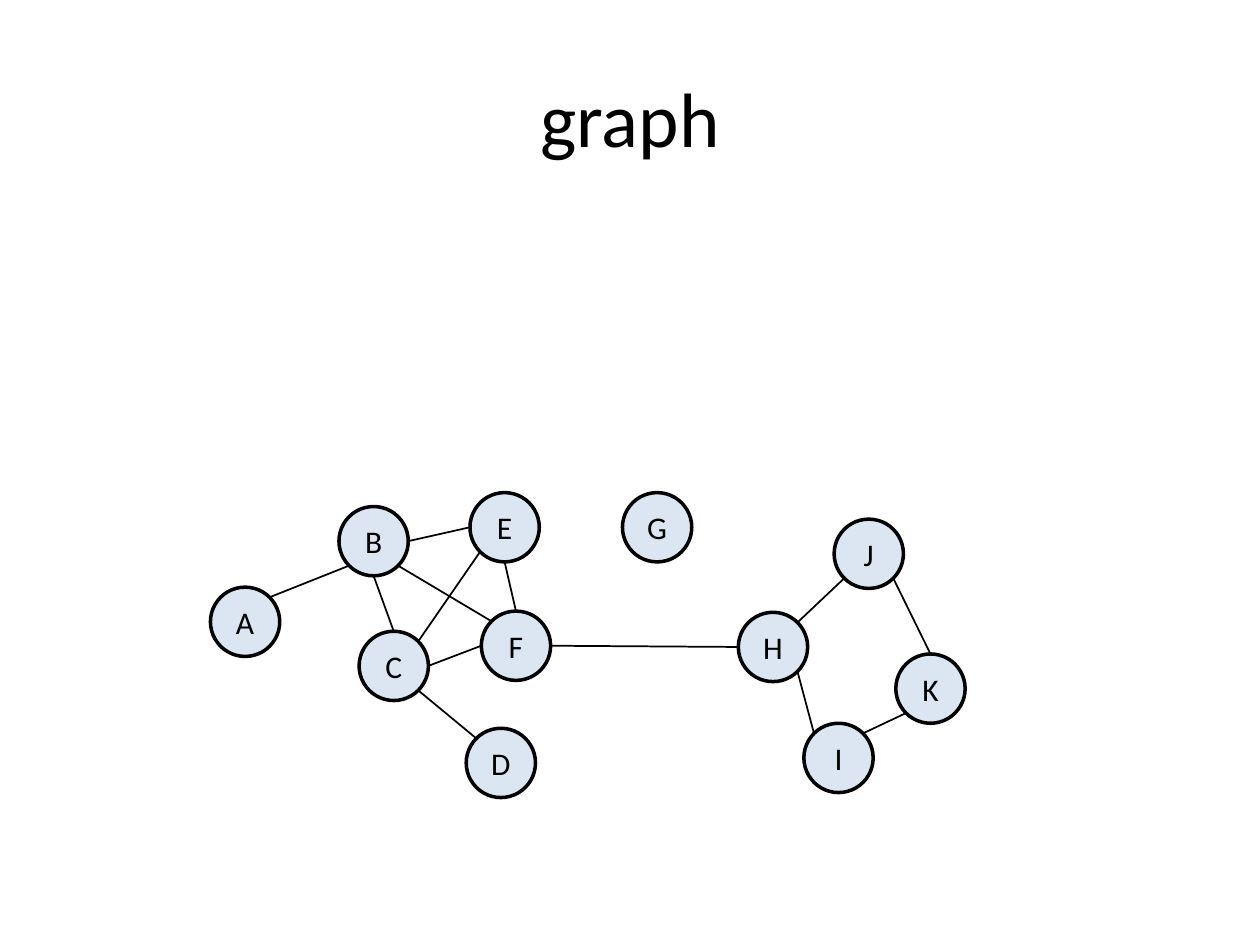
"""Build a slide with a graph of eleven labelled nodes."""
from math import cos, radians, sin
from typing import NamedTuple

from lxml.etree import SubElement
from pptx import Presentation
from pptx.dml.color import RGBColor
from pptx.enum.shapes import MSO_CONNECTOR, MSO_SHAPE
from pptx.enum.text import MSO_ANCHOR, PP_ALIGN
from pptx.oxml.ns import qn
from pptx.util import Inches, Pt

DIAMETER = 0.55
BLACK = "000000"
NODE_FILL = "DCE6F2"
ANGLES = {"E": 0, "SE": 45, "S": 90, "SW": 135, "W": 180, "NW": 225, "N": 270, "NE": 315}


class Node(NamedTuple):
    """A labelled circle, placed by its top left corner."""
    label: str
    left: float
    top: float


class Edge(NamedTuple):
    """A line between two nodes, each with the compass side it touches."""
    start: str
    start_side: str
    end: str
    end_side: str


NODES = [
    Node("A", 1.67, 4.66), Node("D", 3.7, 5.78), Node("B", 2.69, 4.02),
    Node("C", 2.85, 5.01), Node("E", 3.73, 3.91), Node("G", 4.94, 3.91),
    Node("F", 3.82, 4.85), Node("H", 5.86, 4.86), Node("I", 6.38, 5.74),
    Node("J", 6.62, 4.12), Node("K", 7.11, 5.19),
]
EDGES = [
    Edge("A", "NE", "B", "SW"), Edge("F", "E", "H", "W"), Edge("B", "E", "E", "W"),
    Edge("B", "S", "C", "N"), Edge("C", "E", "F", "W"), Edge("F", "N", "E", "S"),
    Edge("B", "SE", "F", "NW"), Edge("C", "NE", "E", "SW"), Edge("C", "SE", "D", "NW"),
    Edge("J", "SW", "H", "NE"), Edge("H", "SE", "I", "NW"), Edge("I", "NE", "K", "SW"),
    Edge("K", "N", "J", "SE"),
]


def color(value: str) -> RGBColor:
    """Turn a hex string into a colour."""
    return RGBColor.from_string(value)


def write(shape, text: str, *, size: float, fill: str = BLACK, font: str = "Calibri",
          margin: float = 0.1) -> None:
    """Write centred text into a shape."""
    frame = shape.text_frame
    frame.word_wrap = True
    frame.margin_left = frame.margin_right = Inches(margin)
    frame.vertical_anchor = MSO_ANCHOR.MIDDLE
    paragraph = frame.paragraphs[0]
    paragraph.alignment = PP_ALIGN.CENTER
    run = paragraph.add_run()
    run.text = text
    run.font.size = Pt(size)
    run.font.name = font
    run.font.color.rgb = color(fill)


def add_node(slide, node: Node) -> None:
    """Draw one node."""
    shape = slide.shapes.add_shape(MSO_SHAPE.OVAL, Inches(node.left), Inches(node.top),
                                   Inches(DIAMETER), Inches(DIAMETER))
    shape.shadow.inherit = False
    shape.fill.solid()
    shape.fill.fore_color.rgb = color(NODE_FILL)
    shape.line.color.rgb = color(BLACK)
    shape.line.width = Pt(2)
    write(shape, node.label, size=18, margin=0)


def rim_point(node: Node, side: str) -> tuple[int, int]:
    """Find the point on the rim of a node at a compass side."""
    radius = DIAMETER / 2
    angle = radians(ANGLES[side])
    return (Inches(node.left + radius * (1 + cos(angle))),
            Inches(node.top + radius * (1 + sin(angle))))


def add_edge(slide, edge: Edge, nodes: dict[str, Node]) -> None:
    """Draw one edge from rim to rim."""
    connector = slide.shapes.add_connector(
        MSO_CONNECTOR.STRAIGHT,
        *rim_point(nodes[edge.start], edge.start_side),
        *rim_point(nodes[edge.end], edge.end_side))
    connector.line.color.rgb = color(BLACK)
    connector.line.width = Pt(1)
    SubElement(connector._element.spPr, qn("a:effectLst"))


def main() -> None:
    """Build and save the presentation."""
    presentation = Presentation()
    presentation.slide_width = Inches(10)
    presentation.slide_height = Inches(7.5)
    slide = presentation.slides.add_slide(presentation.slide_layouts[5])
    title = slide.shapes.title
    title.left, title.top = Inches(0.5), Inches(0.3)
    title.width, title.height = Inches(9), Inches(1.25)
    write(title, "graph", size=44)
    for node in NODES:
        add_node(slide, node)
    nodes = {node.label: node for node in NODES}
    for edge in EDGES:
        add_edge(slide, edge, nodes)
    presentation.save("out.pptx")


main()
